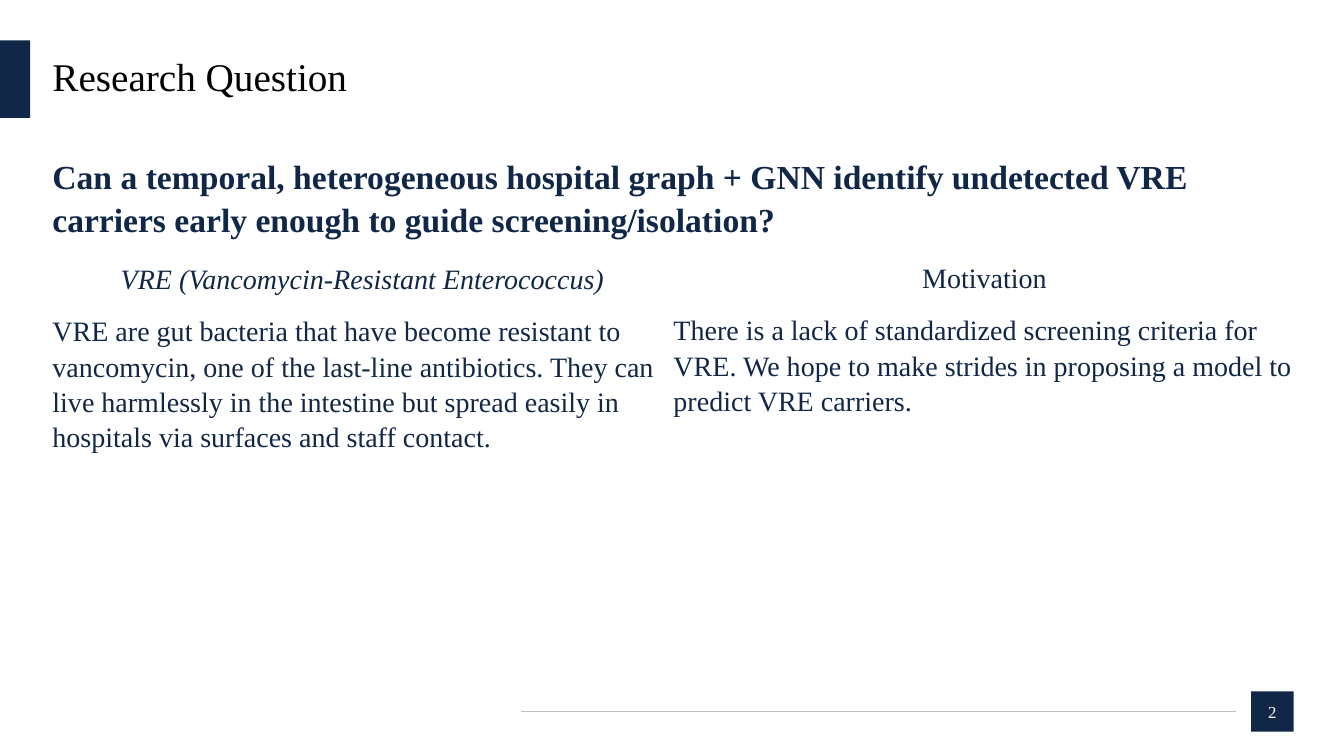
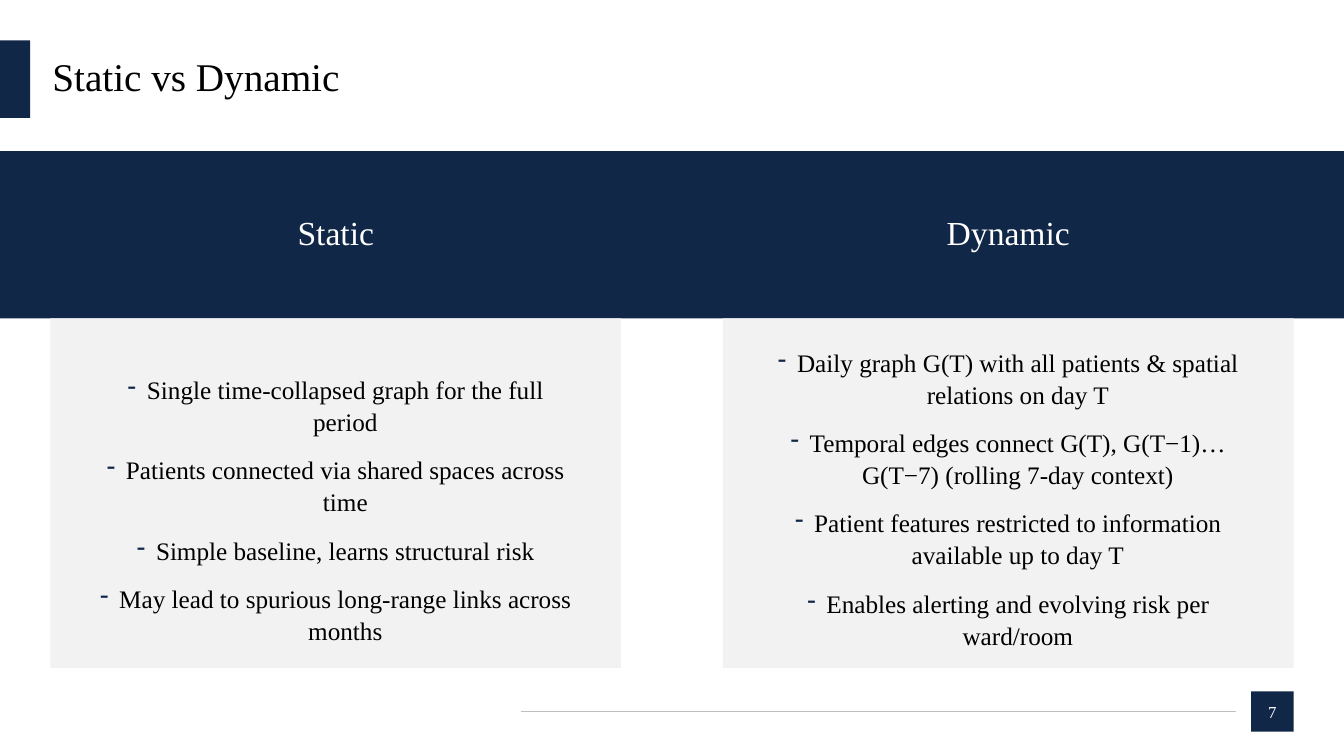
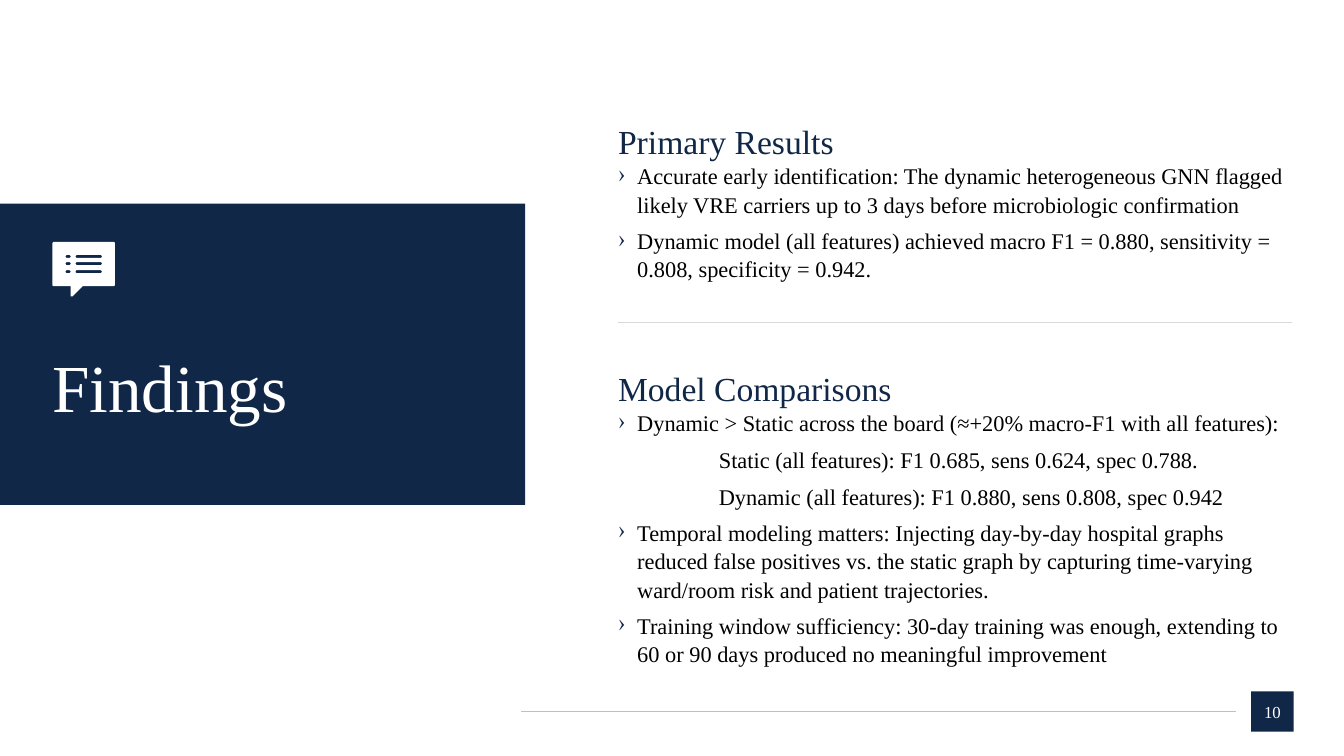
"""Build three slides on detecting VRE carriers with hospital graphs."""
from lxml import etree
from pptx import Presentation
from pptx.dml.color import RGBColor
from pptx.enum.shapes import MSO_CONNECTOR, MSO_SHAPE
from pptx.enum.text import MSO_ANCHOR, PP_ALIGN
from pptx.oxml.ns import qn
from pptx.util import Pt

PX = 9144
WIDTH, HEIGHT = 1333, 750
FONT = "Times New Roman"
RECT = MSO_SHAPE.RECTANGLE
STRAIGHT = MSO_CONNECTOR.STRAIGHT
TOP, MIDDLE = MSO_ANCHOR.TOP, MSO_ANCHOR.MIDDLE
LEFT, CENTER = PP_ALIGN.LEFT, PP_ALIGN.CENTER
COLORS = {"navy": "102747", "white": "FFFFFF", "black": "000000",
          "panel": "F2F2F2", "rule": "BFBFBF", "divider": "D9D9D9"}

STYLES = {
    "title": {"size": 28, "color": "black", "spacing": 0.9},
    "cover": {"size": 48, "color": "white", "spacing": 0.9},
    "question": {"size": 24, "bold": True, "after": 12},
    "label": {"size": 20, "align": CENTER, "after": 12},
    "term": {"size": 20, "align": CENTER, "after": 12, "italic": True},
    "body": {"size": 20, "after": 12},
    "band": {"size": 24, "color": "white", "align": CENTER},
    "dash": {"size": 18, "color": "black", "align": CENTER, "after": 12, "bullet": "-", "indent": 19},
    "heading": {"size": 24},
    "point": {"size": 16, "color": "black", "after": 6, "bullet": "›", "indent": 19},
    "detail": {"size": 16, "color": "black", "after": 6, "indent": 100},
    "page": {"size": 12, "color": "white", "align": CENTER, "spacing": 1},
}

QUESTION = {
    "title": "Research Question",
    "page": "2",
    "texts": [
        ((52, 153, 1174, 81), [
            ("question", "Can a temporal, heterogeneous hospital graph + GNN identify undetected VRE carriers early enough to guide screening/isolation?")]),
        ((52, 258, 615, 387), [
            ("term", "VRE (Vancomycin-Resistant Enterococcus)"),
            ("body", "VRE are gut bacteria that have become resistant to vancomycin, one of the last-line antibiotics. They can live harmlessly in the intestine but spread easily in hospitals via surfaces and staff contact.")]),
        ((668, 257, 617, 202), [
            ("label", "Motivation"),
            ("body", "There is a lack of standardized screening criteria for VRE. We hope to make strides in proposing a model to predict VRE carriers.")]),
    ],
}

COMPARISON = {
    "title": "Static vs Dynamic",
    "page": "7",
    "columns": [
        ("Static", 50, 370, [
            "Single time-collapsed graph for the full period",
            "Patients connected via shared spaces across time",
            "Simple baseline, learns structural risk",
            "May lead to spurious long‑range links across months"]),
        ("Dynamic", 717, 343, [
            "Daily graph G(T) with all patients & spatial relations on day T",
            "Temporal edges connect G(T), G(T−1)…G(T−7) (rolling 7‑day context)",
            "Patient features restricted to information available up to day T",
            "Enables alerting and evolving risk per ward/room"]),
    ],
}

FINDINGS = {
    "title": "Findings",
    "page": "10",
    "texts": [
        ((613, 118, 668, 192), [
            ("heading", "Primary Results"),
            ("point", "Accurate early identification: The dynamic heterogeneous GNN flagged likely VRE carriers up to 3 days before microbiologic confirmation"),
            ("point", "Dynamic model (all features) achieved macro F1 = 0.880, sensitivity = 0.808, specificity = 0.942.")]),
        ((613, 363, 668, 289), [
            ("heading", "Model Comparisons"),
            ("point", "Dynamic > Static across the board (≈+20% macro‑F1 with all features):"),
            ("detail", "Static (all features): F1 0.685, sens 0.624, spec 0.788."),
            ("detail", "Dynamic (all features): F1 0.880, sens 0.808, spec 0.942"),
            ("point", "Temporal modeling matters: Injecting day-by-day hospital graphs reduced false positives vs. the static graph by capturing time-varying ward/room risk and patient trajectories."),
            ("point", "Training window sufficiency: 30-day training was enough, extending to 60 or 90 days produced no meaningful improvement")]),
    ],
}


def rgb(name):
    return RGBColor.from_string(COLORS[name])


def scaled(box):
    return [v * PX for v in box]


def paint(sp, color):
    sp.shadow.inherit = False
    sp.fill.solid()
    sp.fill.fore_color.rgb = rgb(color)
    sp.line.fill.background()
    return sp


def add_rect(slide, box, color):
    return paint(slide.shapes.add_shape(RECT, *scaled(box)), color)


def add_line(slide, x1, x2, y, color):
    line = slide.shapes.add_connector(STRAIGHT, *scaled((x1, y, x2, y)))
    line.line.color.rgb = rgb(color)
    line.line.width = Pt(0.5)
    etree.SubElement(line._element.spPr, qn("a:effectLst"))


def add_bullet(p, char):
    pPr = p._p.get_or_add_pPr()
    clr = etree.SubElement(pPr, qn("a:buClr"))
    etree.SubElement(clr, qn("a:srgbClr"), val=COLORS["navy"])
    etree.SubElement(pPr, qn("a:buChar"), char=char)


def write(sp, paragraphs, anchor=TOP):
    tf = sp.text_frame
    frame = {"word_wrap": True, "vertical_anchor": anchor, "margin_left": 0,
             "margin_right": 0, "margin_top": 0, "margin_bottom": 0}
    for key, value in frame.items():
        setattr(tf, key, value)
    for i, (name, text) in enumerate(paragraphs):
        style = STYLES[name]
        p = tf.add_paragraph() if i else tf.paragraphs[0]
        indent = style.get("indent", 0) * PX
        if indent:
            p._p.get_or_add_pPr().set("marL", str(indent))
        if "bullet" in style:
            p._p.get_or_add_pPr().set("indent", str(-indent))
            add_bullet(p, style["bullet"])
        layout = {"alignment": style.get("align", LEFT), "space_before": Pt(0),
                  "space_after": Pt(style.get("after", 0)),
                  "line_spacing": style.get("spacing", 1.05)}
        for key, value in layout.items():
            setattr(p, key, value)
        r = p.add_run()
        r.text = text
        font = {"name": FONT, "size": Pt(style["size"]),
                "bold": style.get("bold", False), "italic": style.get("italic", False)}
        for key, value in font.items():
            setattr(r.font, key, value)
        r.font.color.rgb = rgb(style.get("color", "navy"))


def add_text(slide, box, paragraphs, anchor=TOP):
    write(slide.shapes.add_textbox(*scaled(box)), paragraphs, anchor)


def add_title(slide, text):
    add_text(slide, (52, 40, 1231, 77), [("title", text)], MIDDLE)
    add_rect(slide, (0, 40, 30, 77), "navy")


def add_footer(slide, page):
    write(add_rect(slide, (1241, 686, 42, 40), "navy"), [("page", page)], MIDDLE)
    add_line(slide, 517, 1226, 706, "rule")


def bar(left, top, right, bottom):
    return [(left + 1, top), (right - 1, top), (right, top + 1), (right, bottom - 1),
            (right - 1, bottom), (left + 1, bottom), (left, bottom - 1), (left, top + 1)]


def add_list_icon(slide):
    bubble = bar(52, 240, 114, 284)
    bubble[5:5] = [(82, 284), (72, 294), (70, 294), (70, 284)]
    holes = [bar(left, top, right, top + 3)
             for top in (253, 260, 268) for left, right in ((65, 70), (75, 101))]
    fb = slide.shapes.build_freeform(*bubble[0], scale=PX)
    fb.add_line_segments(bubble[1:], close=True)
    for hole in holes:
        fb.move_to(*hole[0])
        fb.add_line_segments(hole[1:], close=True)
    paint(fb.convert_to_shape(), "white")


def build_question(slide, data):
    add_title(slide, data["title"])
    for box, paragraphs in data["texts"]:
        add_text(slide, box, paragraphs)


def build_comparison(slide, data):
    add_title(slide, data["title"])
    add_rect(slide, (0, 150, WIDTH, 166), "navy")
    for name, left, top, points in data["columns"]:
        add_rect(slide, (left, 316, 566, 347), "panel")
        add_text(slide, (left + 42, 208, 482, 40), [("band", name)])
        add_text(slide, (left + 42, top, 482, 649 - top), [("dash", t) for t in points])


def build_findings(slide, data):
    add_rect(slide, (0, 202, 521, 299), "navy")
    add_list_icon(slide)
    add_text(slide, (52, 351, 410, 73), [("cover", data["title"])], MIDDLE)
    add_line(slide, 613, 1281, 320, "divider")
    for box, paragraphs in data["texts"]:
        add_text(slide, box, paragraphs)


def main():
    prs = Presentation()
    prs.slide_width, prs.slide_height = scaled((WIDTH, HEIGHT))
    for build, data in ((build_question, QUESTION), (build_comparison, COMPARISON),
                        (build_findings, FINDINGS)):
        slide = prs.slides.add_slide(prs.slide_layouts[6])
        build(slide, data)
        add_footer(slide, data["page"])
    prs.save("out.pptx")


if __name__ == "__main__":
    main()
